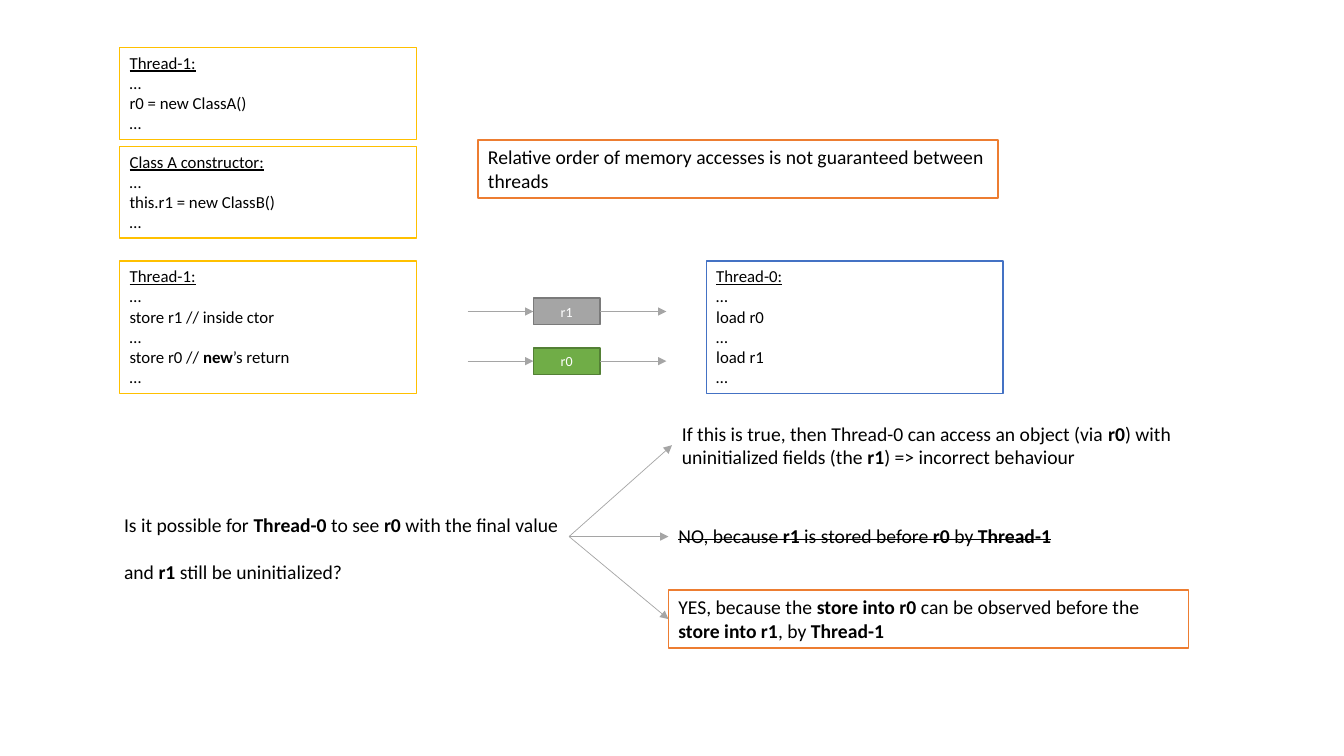
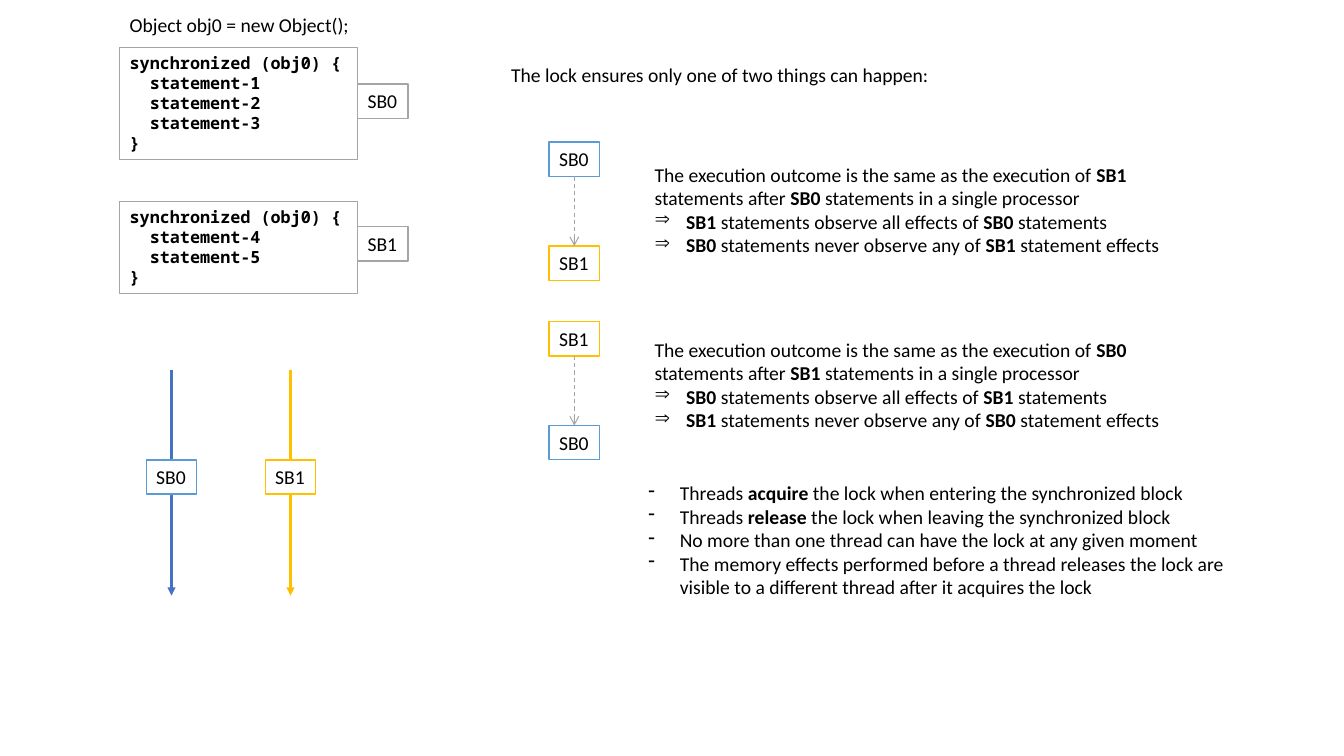
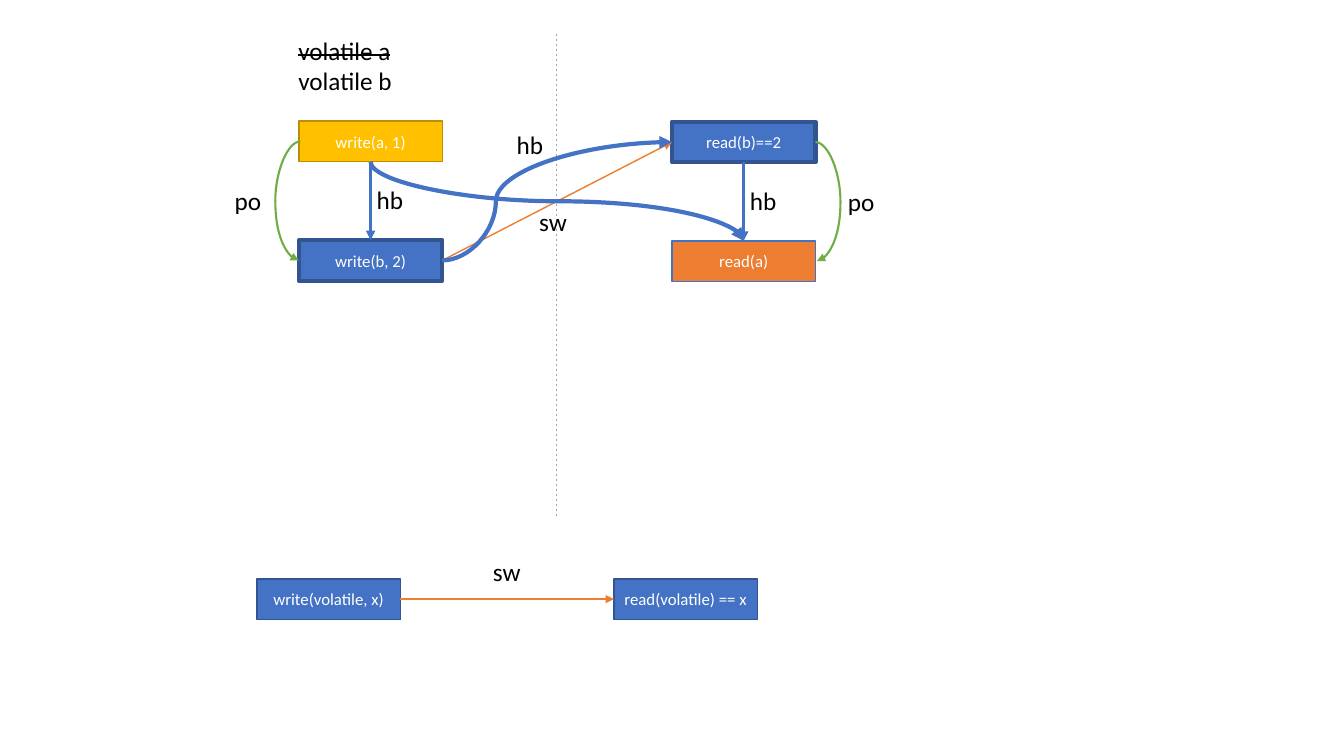
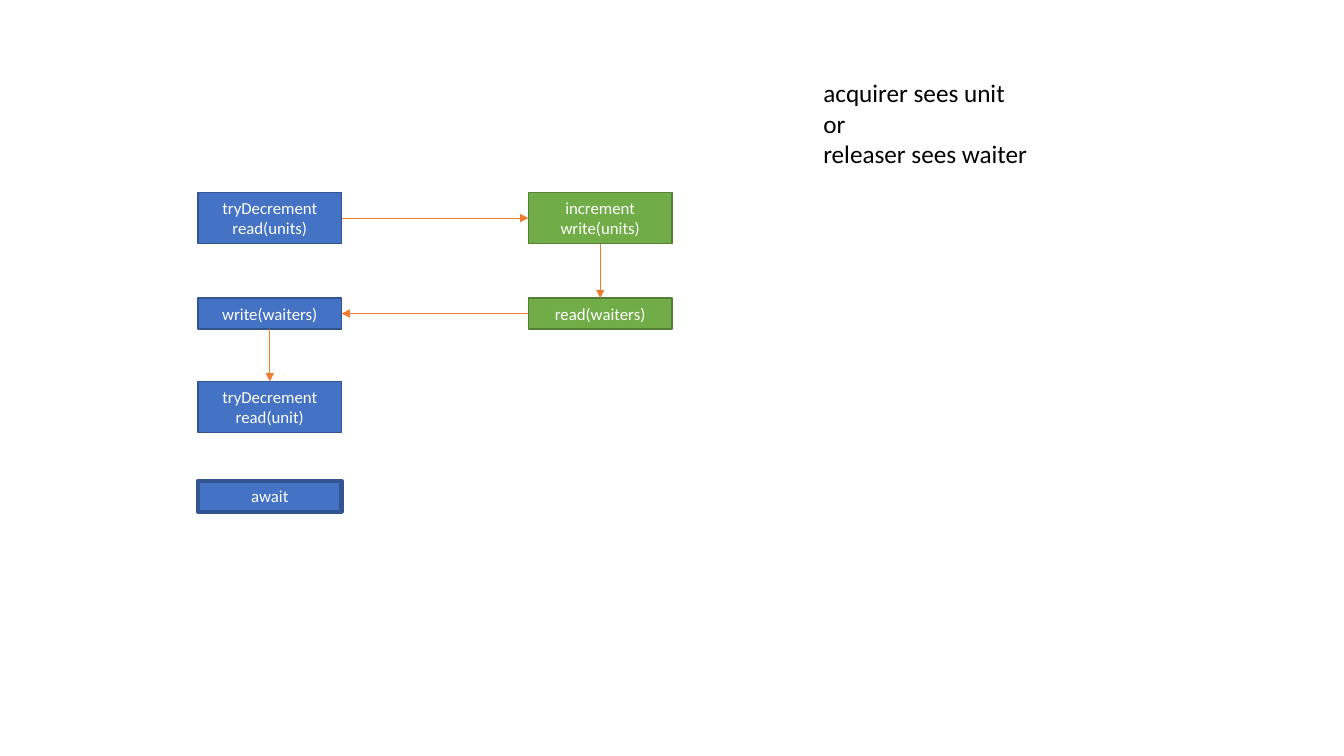
import pptx
import pptx.dml.color
import pptx.enum.dml
import pptx.enum.shapes
import pptx.enum.text
import pptx.oxml.ns
import pptx.util
import lxml.etree

RGBColor = pptx.dml.color.RGBColor
Pt = pptx.util.Pt
qn = pptx.oxml.ns.qn

BLACK = RGBColor(0x00, 0x00, 0x00)
WHITE = RGBColor(0xFF, 0xFF, 0xFF)
GREY = RGBColor(0xA5, 0xA5, 0xA5)
DARK_GREY = RGBColor(0x7A, 0x7A, 0x7A)
BLUE = RGBColor(0x44, 0x72, 0xC4)
DARK_BLUE = RGBColor(0x32, 0x54, 0x91)
LIGHT_BLUE = RGBColor(0x5B, 0x9B, 0xD5)
GREEN = RGBColor(0x70, 0xAD, 0x47)
DARK_GREEN = RGBColor(0x53, 0x80, 0x35)
GOLD = RGBColor(0xFF, 0xC0, 0x00)
DARK_GOLD = RGBColor(0xBD, 0x8E, 0x00)
ORANGE = RGBColor(0xED, 0x7D, 0x31)

TOP, LEFT, BOTTOM, RIGHT = range(4)
SIDES = {TOP: (0.5, 0), LEFT: (0, 0.5), BOTTOM: (0.5, 1), RIGHT: (1, 0.5)}
CENTER = pptx.enum.text.PP_ALIGN.CENTER
CONNECTOR = pptx.enum.shapes.MSO_CONNECTOR


class Deck:
    """Style of the presentation and the slide being filled."""

    FONT = "Calibri"
    MONO = "Noto Sans Mono"
    HANG = 22.5

    def __init__(self):
        self.show = pptx.Presentation()
        self.show.slide_width, self.show.slide_height = Pt(960), Pt(540)
        self.slide = None

    def new_slide(self):
        self.slide = self.show.slides.add_slide(self.show.slide_layouts[6])

    def put_lines(self, shape, lines, size, color=BLACK, font=FONT, bold=None,
                  align=None, underlined=(), struck=(), bullet=None, bullets_from=0):
        """Set one paragraph per line; **marks** enclose bold words."""
        frame = shape.text_frame
        for index, line in enumerate(lines):
            paragraph = frame.paragraphs[0] if index == 0 else frame.add_paragraph()
            paragraph.alignment = align or pptx.enum.text.PP_ALIGN.LEFT
            if bullet and index >= bullets_from:
                properties = paragraph._p.get_or_add_pPr()
                properties.set("marL", str(Pt(self.HANG)))
                properties.set("indent", str(-Pt(self.HANG)))
                lxml.etree.SubElement(properties, qn("a:buChar")).set("char", bullet)
            paragraph.font.name = font
            paragraph.font.size = Pt(size)
            paragraph.font.color.rgb = color
            paragraph.font.bold = bold
            if index in underlined:
                paragraph.font.underline = True
            for part, words in enumerate(line.split("**")):
                if not words:
                    continue
                run = paragraph.add_run()
                run.text = words
                if part % 2:
                    run.font.bold = True
                if index in struck:
                    run._r.get_or_add_rPr().set("strike", "sngStrike")

    def text(self, x, y, w, h, lines, size=14, wrap=True, **style):
        shape = self.slide.shapes.add_textbox(Pt(x), Pt(y), Pt(w), Pt(h))
        shape.text_frame.word_wrap = wrap
        self.put_lines(shape, lines, size, **style)
        return shape

    def box(self, x, y, w, h, lines, edge, fill=WHITE, weight=1, size=14,
            wrap=True, anchor=pptx.enum.text.MSO_ANCHOR.TOP, **style):
        shape = self.slide.shapes.add_shape(
            pptx.enum.shapes.MSO_SHAPE.RECTANGLE, Pt(x), Pt(y), Pt(w), Pt(h))
        shape.shadow.inherit = False
        shape.fill.solid()
        shape.fill.fore_color.rgb = fill
        shape.line.color.rgb = edge
        shape.line.width = Pt(weight)
        shape.text_frame.word_wrap = wrap
        shape.text_frame.vertical_anchor = anchor
        self.put_lines(shape, lines, size, **style)
        return shape

    def node(self, x, y, w, h, lines, fill, edge, weight=1, size=12):
        """Filled box with white centred text."""
        return self.box(x, y, w, h, lines, edge, fill, weight, size, color=WHITE,
                        align=CENTER, anchor=pptx.enum.text.MSO_ANCHOR.MIDDLE)

    def tag(self, x, y, name, edge):
        """Small label box of a synchronized block."""
        return self.box(x, y, 36, 24.5, [name], edge, wrap=False)

    def connector(self, start, end, color, weight, head="triangle", dash=False,
                  kind=CONNECTOR.STRAIGHT):
        """Join two ends, each a point (x, y) or a (shape, side) pair."""
        points = []
        for first, second in (start, end):
            if isinstance(first, (int, float)):
                points += [Pt(first), Pt(second)]
            else:
                across, down = SIDES[second]
                points += [first.left + int(first.width * across),
                           first.top + int(first.height * down)]
        line = self.slide.shapes.add_connector(kind, *points)
        for (first, side), join in ((start, line.begin_connect), (end, line.end_connect)):
            if not isinstance(first, (int, float)):
                join(first, side)
        line.line.color.rgb = color
        line.line.width = Pt(weight)
        if dash:
            line.line.dash_style = pptx.enum.dml.MSO_LINE.DASH
        properties = line.element.spPr
        if head:
            outline = properties.find(qn("a:ln"))
            lxml.etree.SubElement(outline, qn("a:tailEnd")).set("type", head)
        lxml.etree.SubElement(properties, qn("a:effectLst"))
        return line

    def curve(self, start, end, color, weight, frame, bend, turn=0, flip=None):
        """Curved arrow in a frame; bend is the place of its middle, in widths."""
        line = self.connector(start, end, color, weight, kind=CONNECTOR.CURVE)
        line.left, line.top, line.width, line.height = map(Pt, frame)
        properties = line.element.spPr
        placing = properties.find(qn("a:xfrm"))
        for name in ("flipH", "flipV"):
            placing.set(name, "1" if name == flip else "0")
        placing.set("rot", str(turn * 60000))
        shape_geometry = properties.find(qn("a:prstGeom"))
        guides = shape_geometry.find(qn("a:avLst"))
        if guides is None:
            guides = lxml.etree.SubElement(shape_geometry, qn("a:avLst"))
        guide = lxml.etree.SubElement(guides, qn("a:gd"))
        guide.set("name", "adj1")
        guide.set("fmla", f"val {round(bend * 100000)}")


def memory_order(deck):
    deck.new_slide()

    # Code of the two threads
    for x, y, h, edge, code in (
        (85.5, 34, 65.5, GOLD, ["Thread-1:", "…", "r0 = new ClassA()", "…"]),
        (85.5, 104.5, 65.5, GOLD,
         ["Class A constructor:", "…", "this.r1 = new ClassB()", "…"]),
        (85.5, 186.5, 94.5, GOLD,
         ["Thread-1:", "…", "store r1 // inside ctor", "…",
          "store r0 // **new**’s return", "…"]),
        (504.5, 186.5, 94.5, BLUE,
         ["Thread-0:", "…", "load r0", "…", "load r1", "…"]),
    ):
        deck.box(x, y, 212, h, code, edge, size=12, underlined=(0,))

    # Shared variables
    for name, y, fill, edge in (("r1", 213, GREY, DARK_GREY),
                                ("r0", 248.5, GREEN, DARK_GREEN)):
        variable = deck.node(381, y, 47.5, 19, [name], fill, edge, size=10)
        deck.connector((334, y + 9.5), (variable, LEFT), GREY, 0.5)
        deck.connector((variable, RIGHT), (476, y + 9.5), GREY, 0.5)

    # Question and its answers
    question = deck.text(81.5, 362.5, 325, 41.5, [
        "Is it possible for **Thread-0** to see **r0** with the final value",
        "and **r1** still be uninitialized?"])
    question.text_frame.margin_right = 0
    question.text_frame.paragraphs[1].space_before = Pt(17)
    consequence = deck.text(480, 297.5, 371.5, 41, [
        "If this is true, then Thread-0 can access an object (via **r0**) with "
        "uninitialized fields (the **r1**) => incorrect behaviour"])
    no = deck.text(477.5, 371, 371.5, 24.5, [
        "NO, because **r1** is stored before **r0** by **Thread-1**"], struck=(0,))
    yes = deck.box(477.5, 421.5, 371.5, 41.5, [
        "YES, because the **store into r0** can be observed before the "
        "**store into r1**, by **Thread-1**"], ORANGE)
    for answer in (consequence, no, yes):
        deck.connector((question, RIGHT), (answer, LEFT), GREY, 0.5)

    # Rule
    deck.box(341.5, 100, 371.5, 41.5, [
        "Relative order of memory accesses is not guaranteed between threads"], ORANGE)


def locks(deck):
    deck.new_slide()
    edges = {"SB0": LIGHT_BLUE, "SB1": GOLD}

    # Synchronized blocks
    deck.text(85.5, 6, 371.5, 24.5, ["Object obj0 = new Object();"])
    for name, y, h, tag_y, statements in (("SB0", 34, 80, 60, (1, 2, 3)),
                                          ("SB1", 144, 65.5, 162, (4, 5))):
        code = ["synchronized (obj0) {", *(f"  statement-{n}" for n in statements), "}"]
        deck.box(85.5, y, 170, h, code, GREY, size=12, font=deck.MONO, bold=True)
        deck.tag(255.5, tag_y, name, GREY)

    # Threads over time
    for name, x, color in (("SB0", 122.5, BLUE), ("SB1", 207.5, GOLD)):
        deck.connector((x, 264.5), (x, 425.5), color, 1.5)
        deck.tag(x - 18, 328.5, name, edges[name])

    # Two possible orders
    deck.text(358, 41.5, 371.5, 24.5,
              ["The lock ensures only one of two things can happen:"])
    for first, second, y, outcome_y in (("SB0", "SB1", 101.5, 112.5),
                                        ("SB1", "SB0", 229.75, 237.5)):
        before = deck.tag(392.25, y, first, edges[first])
        after = deck.tag(392.25, y + 74.25, second, edges[second])
        deck.connector((before, BOTTOM), (after, TOP), GREY, 0.75, "arrow", dash=True)
        deck.text(460.5, outcome_y, 410, 75, [
            f"The execution outcome is the same as the execution of **{second}** "
            f"statements after **{first}** statements in a single processor",
            f"**{second}** statements observe all effects of **{first}** statements",
            f"**{first}** statements never observe any of **{second}** statement effects",
        ], bullet="⇒", bullets_from=1)

    # Lock rules
    deck.text(456, 340, 434, 92, [
        "Threads **acquire** the lock when entering the synchronized block",
        "Threads **release** the lock when leaving the synchronized block",
        "No more than one thread can have the lock at any given moment",
        "The memory effects performed before a thread releases the lock are visible "
        "to a different thread after it acquires the lock",
    ], bullet="-")


def happens_before(deck):
    deck.new_slide()
    w, h = 102.5, 29

    # Actions of the two threads
    read_a = deck.node(480, 172, w, h, ["read(a)"], ORANGE, BLUE)
    write_b = deck.node(213.5, 171.5, w, h, ["write(b, 2)"], BLUE, DARK_BLUE, 3)
    write_a = deck.node(213.5, 86.5, w, h, ["write(a, 1)"], GOLD, DARK_GOLD)
    read_b = deck.node(480, 87, w, h, ["read(b)==2"], BLUE, DARK_BLUE, 3)
    deck.connector((397.5, 24), (397.5, 369), GREY, 0.5, head=None, dash=True)

    # Order within each thread
    deck.curve((write_a, LEFT), (write_b, LEFT), GREEN, 1.5,
               (213.5, 101, 1, 85), 18, turn=180, flip="flipV")
    deck.curve((read_b, RIGHT), (read_a, RIGHT), GREEN, 1.5,
               (582.5, 101.5, 1, 85), 18)
    deck.connector((write_a, BOTTOM), (write_b, TOP), BLUE, 2.25)
    deck.connector((read_b, BOTTOM), (read_a, TOP), BLUE, 2.25)

    # Order across the threads
    deck.connector((write_b, RIGHT), (read_b, LEFT), ORANGE, 1)
    deck.curve((write_b, RIGHT), (read_b, LEFT), BLUE, 3,
               (316, 101.5, 164, 84.5), 0.233, flip="flipV")
    deck.curve((write_a, BOTTOM), (read_a, TOP), BLUE, 3,
               (369.75, 10.5, 56.5, 266.5), 0.5, turn=270, flip="flipH")

    # Synchronizes-with rule
    write_x = deck.node(183.5, 413.5, w, h, ["write(volatile, x)"], BLUE, DARK_BLUE)
    read_x = deck.node(438.5, 413.5, w, h, ["read(volatile) == x"], BLUE, DARK_BLUE)
    deck.connector((write_x, RIGHT), (read_x, LEFT), ORANGE, 1)

    # Names of the relations
    for name, x, y in (("po", 160.5, 129), ("po", 598.5, 129.5), ("hb", 262, 128),
                       ("hb", 528.5, 129), ("hb", 362, 88.5), ("sw", 378, 144),
                       ("sw", 345, 394)):
        deck.text(x, y, 34, 29, [name], 18, wrap=False)
    deck.text(206, 21.5, 82, 51, ["volatile a", "volatile b"], 18, wrap=False,
              struck=(0,))


def semaphore(deck):
    deck.new_slide()
    w, tall, low = 102.5, 36.5, 22
    acquirer_x, releaser_x = 141.5, 377.5

    # Acquirer
    try_first = deck.node(acquirer_x, 137.5, w, tall, ["tryDecrement", "read(units)"],
                          BLUE, DARK_BLUE)
    enqueue = deck.node(acquirer_x, 213, w, low, ["write(waiters)"], BLUE, DARK_BLUE)
    try_again = deck.node(acquirer_x, 272.5, w, tall, ["tryDecrement", "read(unit)"],
                          BLUE, DARK_BLUE)
    deck.node(acquirer_x, 343.5, w, low, ["await"], BLUE, DARK_BLUE, 3)

    # Releaser
    increment = deck.node(releaser_x, 137.5, w, tall, ["increment", "write(units)"],
                          GREEN, DARK_GREEN)
    look = deck.node(releaser_x, 213, w, low, ["read(waiters)"], GREEN, DARK_GREEN)

    # Order of the steps
    for start, end in (((try_first, RIGHT), (increment, LEFT)),
                       ((increment, BOTTOM), (look, TOP)),
                       ((look, LEFT), (enqueue, RIGHT)),
                       ((enqueue, BOTTOM), (try_again, TOP))):
        deck.connector(start, end, ORANGE, 0.5)

    # Guarantee
    deck.text(581, 52, 162, 73, ["acquirer sees unit", "or", "releaser sees waiter"],
              18, wrap=False)


def main():
    deck = Deck()
    for build in (memory_order, locks, happens_before, semaphore):
        build(deck)
    deck.show.save("out.pptx")


if __name__ == "__main__":
    main()
